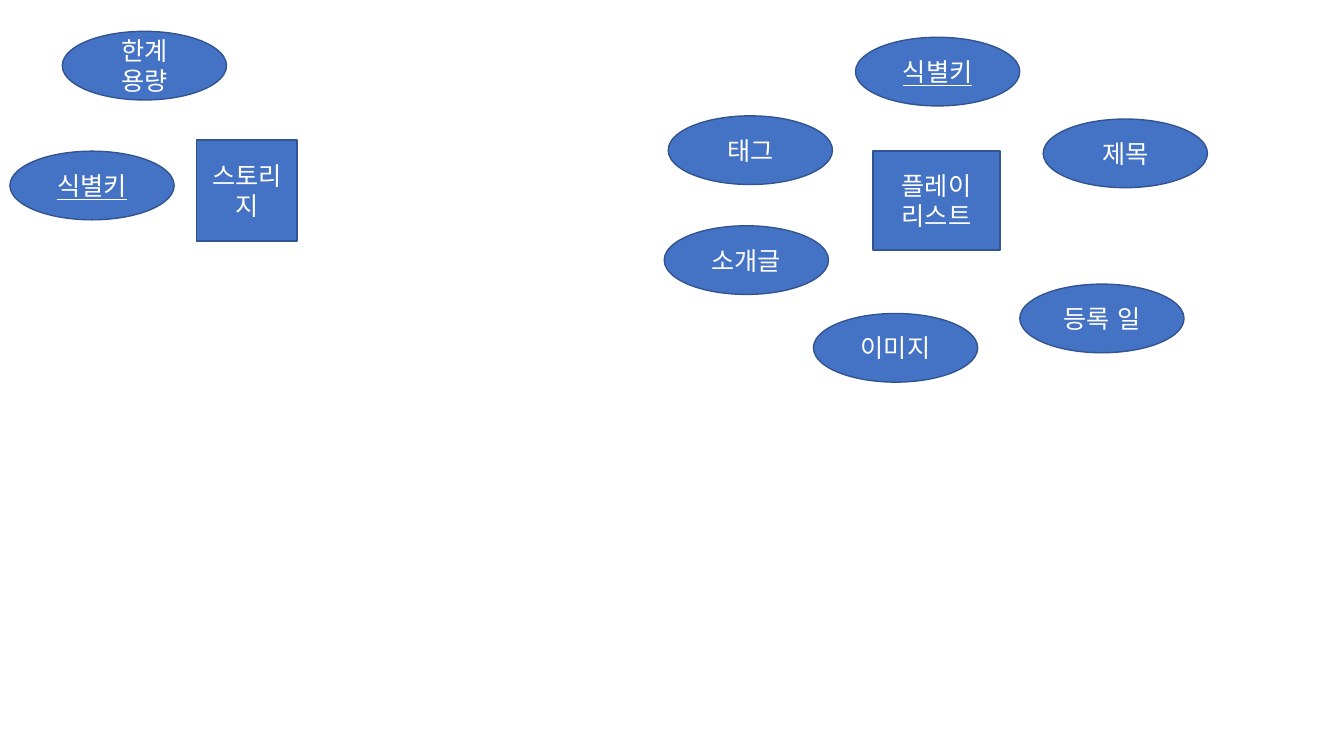
from lxml.etree import SubElement
from pptx import Presentation
from pptx.dml.color import RGBColor as Rgb
from pptx.enum.lang import MSO_LANGUAGE_ID as Lang
from pptx.enum.shapes import MSO_SHAPE as Shape
from pptx.enum.text import MSO_ANCHOR as Anchor, PP_ALIGN as Align
from pptx.oxml.ns import qn
from pptx.util import Cm, Pt

HUES = {"fill": "4472C4", "line": "325491", "text": "FFFFFF"}

# Each entity: name, box, then its fields as (name, left, top, is key)
MODEL = [
    ("스토리지", (4.95, 3.53, 2.54, 2.54), [
        ("한계 용량", 1.57, 0.79, False),
        ("식별키", 0.25, 3.81, True),
    ]),
    ("플레이 리스트", (22, 3.81, 3.2, 2.49), [
        ("식별키", 21.56, 0.94, True),
        ("제목", 26.29, 3, False),
        ("등록 일", 25.7, 7.16, False),
        ("소개글", 16.74, 5.69, False),
        ("이미지", 20.5, 7.9, False),
        ("태그", 16.84, 2.92, False),
    ]),
]


class Chart:
    """Draws the parts of an entity diagram on one slide."""
    face = "Noto Sans CJK KR"
    size = Pt(18)
    oval = (4.14, 1.73)

    def __init__(self, slide):
        self.slide = slide

    def hue(self, name):
        return Rgb.from_string(HUES[name])

    def node(self, kind, box, text, key=False):
        shape = self.slide.shapes.add_shape(kind, *map(Cm, box))
        shape.shadow.inherit = False
        shape.fill.solid()
        shape.fill.fore_color.rgb = self.hue("fill")
        shape.line.color.rgb = self.hue("line")
        shape.line.width = Pt(1)
        frame = shape.text_frame
        frame.word_wrap = True
        frame.vertical_anchor = Anchor.MIDDLE
        para = frame.paragraphs[0]
        para.alignment = Align.CENTER
        self.run(para, text, key)

    def run(self, para, text, key):
        run = para.add_run()
        run.text = text
        font = run.font
        font.name = self.face
        font.size = self.size
        font.color.rgb = self.hue("text")
        font.language_id = Lang.KOREAN
        if key:
            font.underline = True
        # Hangul takes its face from the East Asian font
        SubElement(run._r.get_or_add_rPr(), qn("a:ea"), typeface=self.face)

    def entity(self, name, box):
        self.node(Shape.RECTANGLE, box, name)

    def field(self, name, left, top, key):
        self.node(Shape.OVAL, (left, top, *self.oval), name, key)


def main():
    deck = Presentation()
    deck.slide_width, deck.slide_height = Cm(33.87), Cm(19.05)
    chart = Chart(deck.slides.add_slide(deck.slide_layouts[6]))
    for name, box, fields in MODEL:
        chart.entity(name, box)
        for field in fields:
            chart.field(*field)
    deck.save("out.pptx")


if __name__ == "__main__":
    main()
